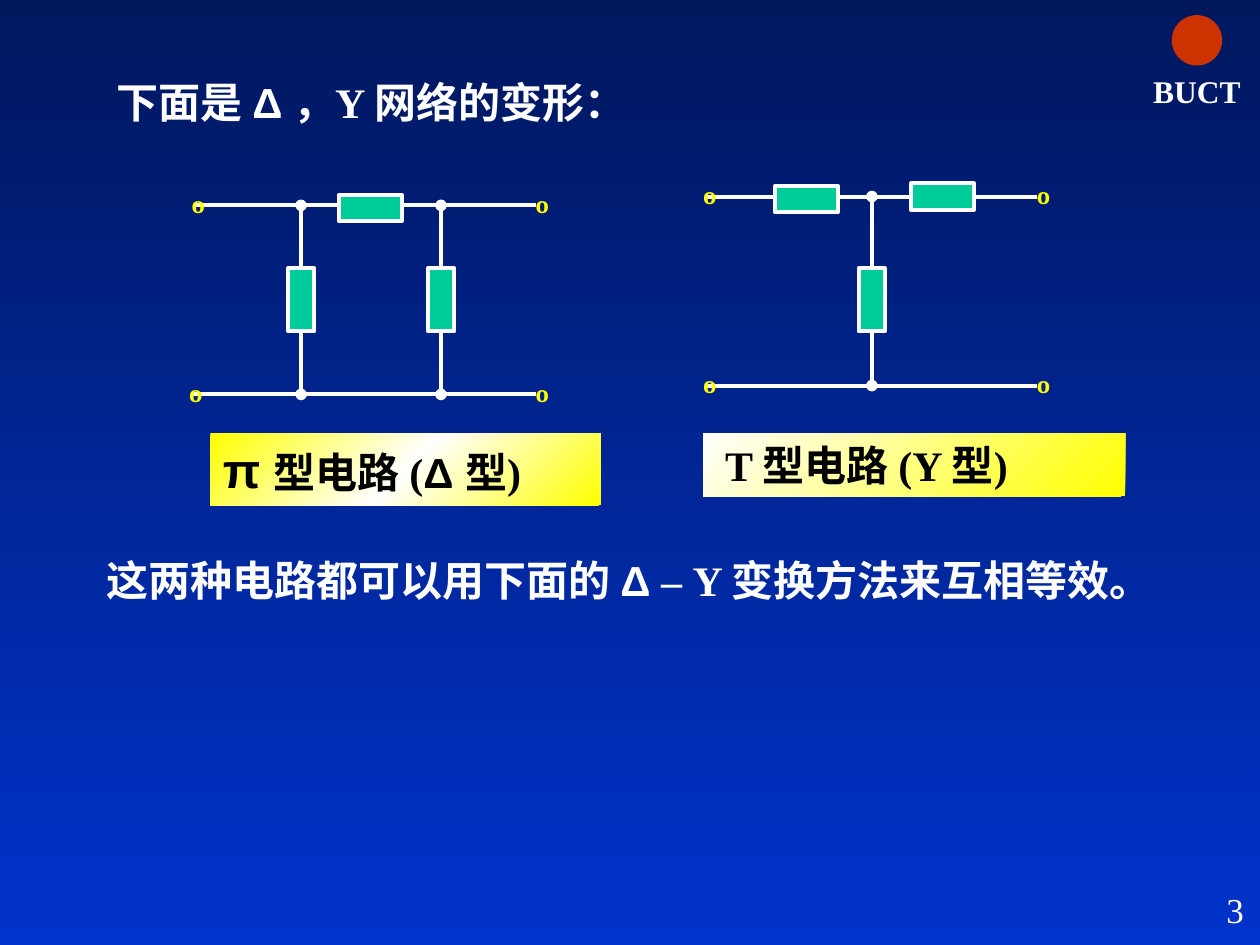
from copy import deepcopy
from dataclasses import dataclass

from pptx import Presentation
from pptx.dml.color import RGBColor
from pptx.enum.shapes import MSO_CONNECTOR, MSO_SHAPE
from pptx.enum.text import MSO_ANCHOR, MSO_AUTO_SIZE, PP_ALIGN
from pptx.oxml.ns import qn
from pptx.util import Inches, Pt
from lxml import etree

RECT, OVAL = MSO_SHAPE.RECTANGLE, MSO_SHAPE.OVAL
STRAIGHT = MSO_CONNECTOR.STRAIGHT
TOP, MIDDLE = MSO_ANCHOR.TOP, MSO_ANCHOR.MIDDLE
LEFT, CENTER, RIGHT = PP_ALIGN.LEFT, PP_ALIGN.CENTER, PP_ALIGN.RIGHT
GROW = MSO_AUTO_SIZE.SHAPE_TO_FIT_TEXT

SERIF, SANS = "Times New Roman", "Arial"
COLORS = {
    "night": "00175E", "blue": "0033CC", "white": "FFFFFF", "black": "000000",
    "yellow": "FFFF00", "green": "00CC99", "red": "CC3300",
}

prs = Presentation()
prs.slide_width, prs.slide_height = Inches(10), Inches(7.5)
COL, ROW = prs.slide_width / 100, prs.slide_height / 75
RESISTOR_W, RESISTOR_H = 2.1, 5
TERMINAL_W, TERMINAL_H = 2.3, 5


@dataclass
class Box:
    x: float
    y: float
    w: float
    h: float

    def place(self) -> tuple[int, ...]:
        return (round(self.x * COL), round(self.y * ROW),
                round(self.w * COL), round(self.h * ROW))


@dataclass
class Run:
    text: str
    font: str = SERIF
    size: float = 24
    bold: bool = True


@dataclass
class Wire:
    x1: float
    y1: float
    x2: float
    y2: float
    dots: bool = False


@dataclass
class Resistor:
    cx: float
    cy: float
    rotation: int = 0


@dataclass
class Circuit:
    wires: list[Wire]
    resistors: list[Resistor]
    terminals: list[tuple[float, float]]


@dataclass
class Label:
    box: Box
    stops: list[str]
    runs: list[Run]


def rgb(name: str) -> RGBColor:
    return RGBColor.from_string(COLORS[name])


def gradient(fill, names: list[str], angle: float) -> None:
    fill.gradient()
    fill.gradient_angle = angle
    first = fill.gradient_stops[0]._gs
    for _ in names[2:]:
        first.addnext(deepcopy(first))
    for i, (stop, name) in enumerate(zip(fill.gradient_stops, names)):
        stop.position = i / (len(names) - 1)
        stop.color.rgb = rgb(name)


def write(s, runs: list[Run], color: str, align=LEFT, anchor=TOP, margin: float = 0.1) -> None:
    tf = s.text_frame
    frame = {"word_wrap": True, "auto_size": GROW, "vertical_anchor": anchor,
             "margin_left": Inches(margin), "margin_right": Inches(margin),
             "margin_top": Inches(margin / 2), "margin_bottom": Inches(margin / 2)}
    for key, value in frame.items():
        setattr(tf, key, value)
    p = tf.paragraphs[0]
    p.alignment = align
    for run in runs:
        r = p.add_run()
        r.text = run.text
        for key, value in {"name": run.font, "size": Pt(run.size), "bold": run.bold}.items():
            setattr(r.font, key, value)
        r.font.color.rgb = rgb(color)


def add_text(shapes, box: Box, runs: list[Run], color: str = "white", **style) -> None:
    write(shapes.add_textbox(*box.place()), runs, color, **style)


def add_plain(shapes, kind, box: Box, color: str):
    s = shapes.add_shape(kind, *box.place())
    s.shadow.inherit = False
    s.fill.solid()
    s.fill.fore_color.rgb = rgb(color)
    s.line.fill.background()
    return s


def add_wire(shapes, wire: Wire) -> None:
    c = shapes.add_connector(STRAIGHT, round(wire.x1 * COL), round(wire.y1 * ROW),
                             round(wire.x2 * COL), round(wire.y2 * ROW))
    c.line.width = Pt(2.25)
    c.line.color.rgb = rgb("white")
    if wire.dots:
        ln = c.line._get_or_add_ln()
        for tag in ("a:headEnd", "a:tailEnd"):
            etree.SubElement(ln, qn(tag), type="oval")
    etree.SubElement(c._element.spPr, qn("a:effectLst"))


def add_resistor(shapes, res: Resistor) -> None:
    box = Box(res.cx - RESISTOR_W / 2, res.cy - RESISTOR_H / 2, RESISTOR_W, RESISTOR_H)
    s = add_plain(shapes, RECT, box, "green")
    s.rotation = res.rotation
    s.line.width = Pt(2.25)
    s.line.color.rgb = rgb("white")


def add_circuit(shapes, circuit: Circuit) -> None:
    grp = shapes.add_group_shape().shapes
    for wire in circuit.wires:
        add_wire(grp, wire)
    for res in circuit.resistors:
        add_resistor(grp, res)
    for x, y in circuit.terminals:
        add_text(grp, Box(x, y, TERMINAL_W, TERMINAL_H), [Run("º")], "yellow",
                 align=CENTER, anchor=MIDDLE)


def add_label(shapes, label: Label) -> None:
    s = add_plain(shapes, RECT, label.box, "yellow")
    gradient(s.fill, label.stops, 135)
    write(s, label.runs, "black")


CIRCUITS = [
    Circuit(
        [Wire(15.4, 16.3, 42.5, 16.3), Wire(15.2, 31.3, 42.5, 31.3)]
        + [Wire(x, 16.3, x, 31.3, True) for x in (23.9, 35)],
        [Resistor(29.4, 16.5, 270), Resistor(23.9, 23.8), Resistor(35, 23.8)],
        [(14.2, 14.4), (41.5, 14.4), (41.5, 29.4), (14, 29.4)],
    ),
    Circuit(
        [Wire(56, y, 82.3, y) for y in (15.6, 30.6)] + [Wire(69.2, 15.6, 69.2, 30.6, True)],
        [Resistor(69.2, 23.8), Resistor(74.8, 15.6, 270), Resistor(64, 15.8, 270)],
        [(x, y) for x in (54.8, 81.3) for y in (13.7, 28.7)],
    ),
]

LABELS = [
    Label(Box(16.7, 34.4, 31, 5.7), ["yellow", "white", "yellow"],
          [Run("π ", SANS, 28), Run("型电路 ("), Run("Δ ", SANS), Run("型)")]),
    Label(Box(55.8, 34.4, 33.5, 5), ["yellow", "white"], [Run(" T 型电路 (Y 型)")]),
]

slide = prs.slides.add_slide(prs.slide_layouts[6])
gradient(slide.background.fill, ["night", "blue"], 270)
shapes = slide.shapes

add_plain(shapes, OVAL, Box(93, 1.2, 4, 4), "red")
add_text(shapes, Box(90.7, 5.7, 8.6, 3), [Run("BUCT", size=18)],
         align=CENTER, anchor=MIDDLE, margin=0)
add_text(shapes, Box(8.3, 5.6, 47.5, 5),
         [Run("下面是 "), Run("Δ", SANS), Run(" ，Y 网络的变形：")])
for circuit in CIRCUITS:
    add_circuit(shapes, circuit)
for label in LABELS:
    add_label(shapes, label)
add_text(shapes, Box(7.5, 43.5, 86.7, 5),
         [Run("这两种电路都可以用下面的 "), Run("Δ", SANS), Run(" – Y 变换方法来互相等效。")])
add_text(shapes, Box(78.9, 70, 20.8, 5), [Run("3", size=20, bold=False)], align=RIGHT)

prs.save("out.pptx")
